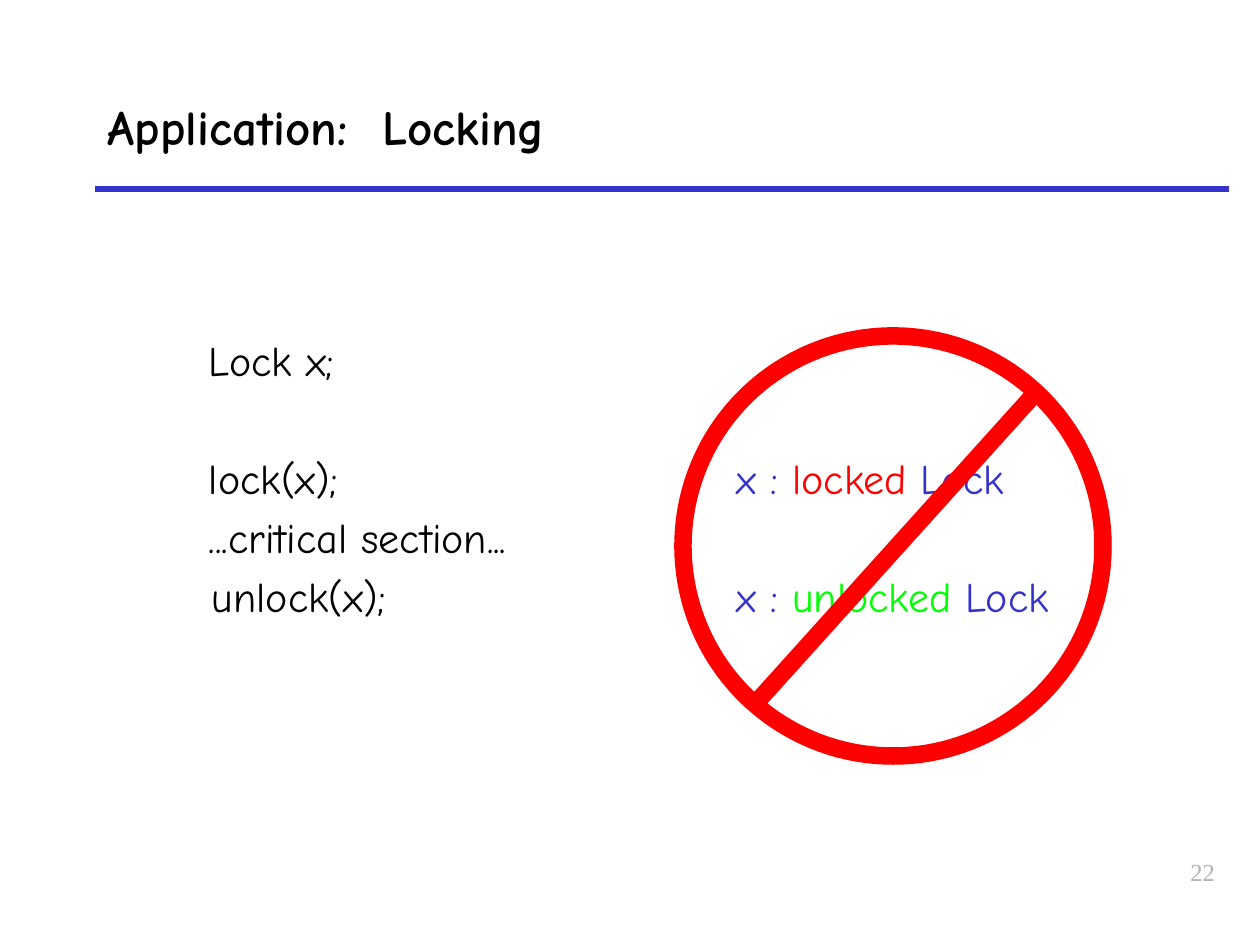
import pptx
import pptx.dml.color
import pptx.enum.shapes
import pptx.enum.text
import pptx.util
import lxml.etree

PIXEL = 914400 // 126
FONT = "Comic Neue"
LINE_PITCH = 59
COLORS = {"black": "000000", "blue": "3333CC", "red": "FF0000",
          "green": "00FF00", "gray": "B2B2B2"}


def px(length):
    """Turn pixels into EMU."""
    return pptx.util.Emu(round(length * PIXEL))


def color(name):
    """Return a named colour."""
    return pptx.dml.color.RGBColor.from_string(COLORS[name])


def add_run(paragraph, text, size, color_name, font=FONT, bold=False):
    """Add one formatted run to a paragraph."""
    run = paragraph.add_run()
    run.text = text
    run.font.name = font
    run.font.size = pptx.util.Pt(size)
    run.font.bold = bold
    run.font.color.rgb = color(color_name)


def set_frame(shape, margins):
    """Make a shape's text wrap, with (side, top) margins in pixels."""
    frame = shape.text_frame
    frame.word_wrap = True
    frame.auto_size = pptx.enum.text.MSO_AUTO_SIZE.NONE
    frame.margin_left = frame.margin_right = px(margins[0])
    frame.margin_top = frame.margin_bottom = px(margins[1])
    return frame


def add_line(shapes, start, end, color_name, width):
    """Draw a straight line without a shadow."""
    line = shapes.add_connector(pptx.enum.shapes.MSO_CONNECTOR.STRAIGHT,
                                px(start[0]), px(start[1]), px(end[0]), px(end[1]))
    line.line.color.rgb = color(color_name)
    line.line.width = pptx.util.Pt(width)
    properties = line._element.spPr
    lxml.etree.SubElement(properties, pptx.oxml.ns.qn("a:effectLst"))


def add_heading(slide, box, text):
    """Place the title in its box, with a rule along the bottom edge."""
    left, top, width, height = box
    add_line(slide.shapes, (left, top + height), (left + width, top + height), "blue", 3)
    title = slide.shapes.title
    title.left, title.top, title.width, title.height = map(px, box)
    frame = set_frame(title, (13, 6))
    frame.vertical_anchor = pptx.enum.text.MSO_ANCHOR.MIDDLE
    paragraph = frame.paragraphs[0]
    paragraph.alignment = pptx.enum.text.PP_ALIGN.LEFT
    add_run(paragraph, text, 28, "black", bold=True)


def add_lines(slide, box, lines):
    """Write lines, each given as (skipped lines before, indent, runs)."""
    frame = set_frame(slide.shapes.add_textbox(*map(px, box)), (0, 0))
    for index, (skipped, indent, runs) in enumerate(lines):
        paragraph = frame.add_paragraph() if index else frame.paragraphs[0]
        paragraph.line_spacing = px(LINE_PITCH)
        paragraph.space_before = px(skipped * LINE_PITCH)
        paragraph._p.get_or_add_pPr().set("marL", str(px(indent)))
        for text, color_name in runs:
            add_run(paragraph, text, 24, color_name)


def add_forbidden_sign(slide, box):
    """Draw a grouped ring with a slash through it."""
    left, top, width, height = box
    group = slide.shapes.add_group_shape()
    ring = group.shapes.add_shape(pptx.enum.shapes.MSO_SHAPE.OVAL, *map(px, box))
    ring.shadow.inherit = False
    ring.fill.background()
    ring.line.color.rgb = color("red")
    ring.line.width = pptx.util.Pt(10)
    add_line(group.shapes, (left + 73, top + height - 53),
             (left + width - 63, top + 52), "red", 10)


def add_page_number(slide, box, number):
    """Write the page number at the right of its box."""
    frame = set_frame(slide.shapes.add_textbox(*map(px, box)), (13, 6))
    paragraph = frame.paragraphs[0]
    paragraph.alignment = pptx.enum.text.PP_ALIGN.RIGHT
    add_run(paragraph, number, 14, "gray", font="Times New Roman")


def build_locking_slide(presentation):
    """Build the slide about locking."""
    slide = presentation.slides.add_slide(presentation.slide_layouts[5])
    add_heading(slide, (95, 63, 1134, 126), "Application:  Locking")
    add_lines(slide, (209, 326, 400, 295), [
        (0, 0, [("Lock x;", "black")]),
        (1, 0, [("lock(x);", "black")]),
        (0, 0, [("...critical section...", "black")]),
        (0, 3, [("unlock(x);", "black")]),
    ])
    add_lines(slide, (737, 444, 430, 177), [
        (skipped, 0, [("x : ", "blue"), (state, state_color), (" Lock", "blue")])
        for skipped, state, state_color in [(0, "locked", "red"), (1, "unlocked", "green")]
    ])
    add_forbidden_sign(slide, (683, 336, 420, 420))
    add_page_number(slide, (966, 851, 262, 63), "22")


presentation = pptx.Presentation()
presentation.slide_width = px(1260)
presentation.slide_height = px(945)
build_locking_slide(presentation)
presentation.save("out.pptx")
